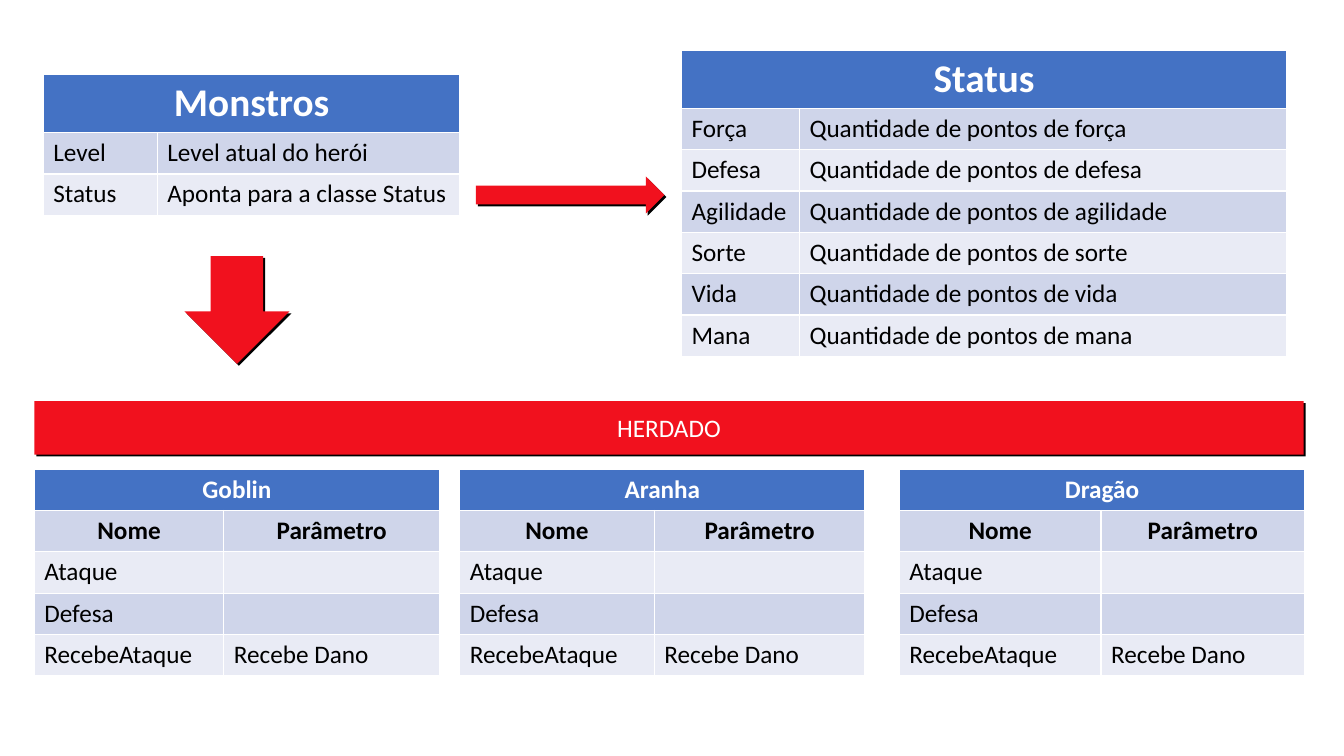
from lxml import etree
from pptx import Presentation, util as u
from pptx.dml.color import RGBColor
from pptx.enum import shapes, text
from pptx.oxml import ns

WIDTH, HEIGHT = 13.33, 7.5
ROW, SMALL_HEAD, BIG_HEAD = 0.41, 0.4, 0.57
FONT = "Calibri"
COLORS = {"head": "4472C4", "odd": "CFD5EA", "even": "E9EBF5",
          "red": "F1111E", "white": "FFFFFF", "black": "000000"}

attributes = ["Força", "Defesa", "Agilidade", "Sorte", "Vida", "Mana"]
methods = [("Nome", "Parâmetro"), ("Ataque", ""), ("Defesa", ""),
           ("RecebeAtaque", "Recebe Dano")]
classes = [
    {"name": "Monstros", "at": (0.43, 0.74), "columns": (1.13, 3),
     "rows": [("Level", "Level atual do herói"),
              ("Status", "Aponta para a classe Status")]},
    {"name": "Status", "at": (6.76, 0.5), "columns": (1.17, 4.83),
     "rows": [(name, f"Quantidade de pontos de {name.lower()}") for name in attributes]},
]
heirs = [("Goblin", 0.34, 1.88), ("Aranha", 4.56, 1.93), ("Dragão", 8.92, 2)]
HEIR_TOP, HEIR_WIDTH = 4.66, 4.02

red_parts = [
    (shapes.MSO_SHAPE.RIGHT_ARROW, (4.72, 1.75, 1.87, 0.37), ""),
    (shapes.MSO_SHAPE.RECTANGLE, (0.34, 3.98, 12.59, 0.53), "HERDADO"),
    (shapes.MSO_SHAPE.DOWN_ARROW, (1.83, 2.54, 1.04, 1.07), ""),
]


def color(name):
    return RGBColor.from_string(COLORS[name])


def write(frame, words, size, ink, bold=False, centred=False):
    frame.text = words
    line = frame.paragraphs[0]
    line.alignment = text.PP_ALIGN.CENTER if centred else text.PP_ALIGN.LEFT
    for run in line.runs:
        run.font.name = FONT
        run.font.size = u.Pt(size)
        run.font.bold = bold
        run.font.color.rgb = color(ink)


def add_class(slide, name, at, columns, rows, small=False):
    head = SMALL_HEAD if small else BIG_HEAD
    box = (*at, sum(columns), head + ROW * len(rows))
    grid = slide.shapes.add_table(len(rows) + 1, len(columns), *map(u.Inches, box)).table
    for column, width in zip(grid.columns, columns):
        column.width = u.Inches(width)
    for index, row in enumerate(grid.rows):
        row.height = u.Inches(ROW if index else head)
        shade = "head" if index == 0 else "odd" if index % 2 else "even"
        for cell in row.cells:
            cell.fill.solid()
            cell.fill.fore_color.rgb = color(shade)
    title = grid.cell(0, 0)
    title.merge(grid.cell(0, len(columns) - 1))
    write(title.text_frame, name, 18 if small else 28, "white", True, True)
    for r, row in enumerate(rows, 1):
        for c, words in enumerate(row):
            heading = small and r == 1
            write(grid.cell(r, c).text_frame, words, 18, "black", heading, heading)


def add_shadow(part):
    part.shadow.inherit = False
    effects = part.element.spPr.find(ns.qn("a:effectLst"))
    cast = etree.SubElement(effects, ns.qn("a:outerShdw"), blurRad="0",
                            dist=str(u.Pt(2)), dir="2700000", algn="tl", rotWithShape="0")
    etree.SubElement(cast, ns.qn("a:srgbClr"), val=COLORS["black"])


def add_red(slide, kind, box, words):
    part = slide.shapes.add_shape(kind, *map(u.Inches, box))
    part.fill.solid()
    part.fill.fore_color.rgb = color("red")
    part.line.fill.background()
    add_shadow(part)
    if words:
        part.text_frame.vertical_anchor = text.MSO_ANCHOR.MIDDLE
        write(part.text_frame, words, 18, "white", centred=True)


def main():
    deck = Presentation()
    deck.slide_width, deck.slide_height = u.Inches(WIDTH), u.Inches(HEIGHT)
    slide = deck.slides.add_slide(deck.slide_layouts[6])
    for entry in classes:
        add_class(slide, **entry)
    for name, left, first in heirs:
        add_class(slide, name, (left, HEIR_TOP), (first, HEIR_WIDTH - first), methods, True)
    for part in red_parts:
        add_red(slide, *part)
    deck.save("out.pptx")


if __name__ == "__main__":
    main()
